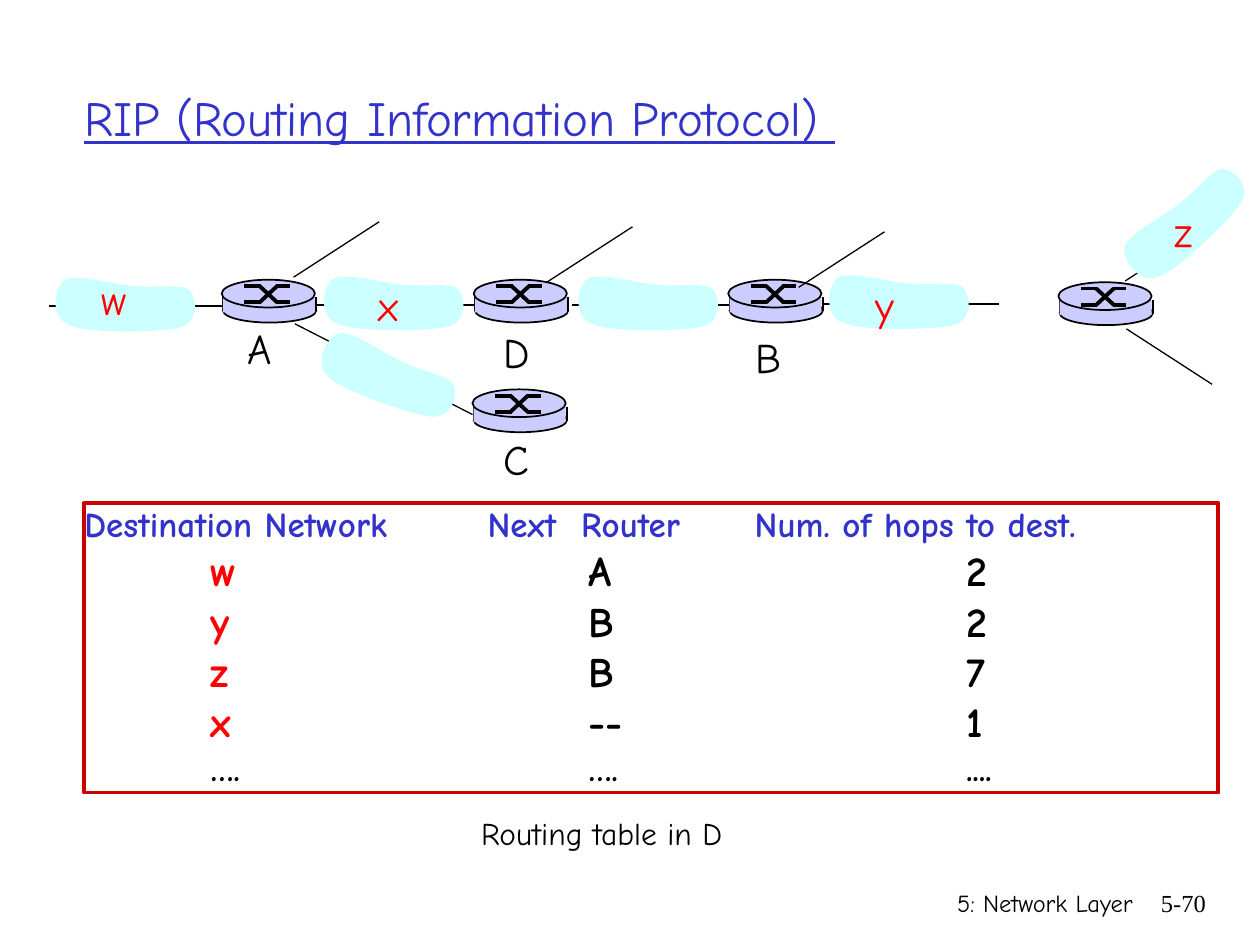
from lxml import etree
from pptx import Presentation
from pptx.dml.color import RGBColor
from pptx.enum.shapes import MSO_CONNECTOR, MSO_SHAPE
from pptx.enum.text import MSO_ANCHOR, PP_ALIGN
from pptx.oxml.ns import qn
from pptx.util import Inches, Pt

OVAL, RECT = MSO_SHAPE.OVAL, MSO_SHAPE.RECTANGLE
STRAIGHT = MSO_CONNECTOR.STRAIGHT
TOP, MIDDLE = MSO_ANCHOR.TOP, MSO_ANCHOR.MIDDLE
LEFT, RIGHT = PP_ALIGN.LEFT, PP_ALIGN.RIGHT

BLUE = RGBColor(0x33, 0x33, 0xCC)
RED = RGBColor(0xFF, 0x00, 0x00)
FRAME = RGBColor(0xCC, 0x00, 0x00)
CYAN = RGBColor(0xCC, 0xFF, 0xFF)
LILAC = RGBColor(0xCC, 0xCC, 0xFF)
BLACK = RGBColor(0x00, 0x00, 0x00)
COMIC, TIMES = "Comic Neue", "Times New Roman"

# Routing table: one row per destination, columns on tab stops
HEADINGS = ("Destination Network", "Next  Router", "Num. of hops to dest.")
HEADING_TABS = (3.2, 5.32)
ROUTES = [("w", "A", "2"), ("y", "B", "2"), ("z", "B", "7"), ("x", "--", "1")]
MORE = ("….", "….", "....")
ROUTE_TABS = (1, 4, 7)

# Network drawing
ROUTERS = [(1.76, 2.22), (3.76, 2.22), (3.75, 3.09), (5.78, 2.22), (8.4, 2.24)]
TRUNK_LENGTH = 1.4
TRUNKS = [(0.39, 2.43), (2.52, 2.42), (4.54, 2.42), (6.53, 2.41)]
SPUR_RUN, SPUR_RISE = 0.68, 0.44
SPURS = [(2.33, 2.2, -1), (4.34, 2.24, -1), (6.34, 2.28, -1),
         (8.93, 2.23, -1), (8.94, 2.61, 1)]  # start, direction up or down
LINK_A_C = (2.34, 2.57, 3.75, 3.29)
NETWORKS = [(2.48, 2.74, 19.7), (0.39, 2.17, 0), (2.52, 2.16, 0),
            (4.54, 2.16, 0), (6.53, 2.15, 0), (8.8, 1.53, 316.8)]

# Network outline: start point, then three Bezier points per curve
CLOUD = [(0.68, 0.1),
         (0.52, 0.09), (0.22, 0), (0.13, 0.05),
         (0.04, 0.1), (0, 0.35), (0.16, 0.41),
         (0.31, 0.48), (0.88, 0.47), (1.04, 0.43),
         (1.2, 0.38), (1.17, 0.18), (1.11, 0.13),
         (1.05, 0.08), (0.84, 0.12), (0.68, 0.1)]

# Router parts, relative to its top left corner
ROUTER_SIDES = [(0.01, 0.14, 0.01, 0.25), (0.75, 0.14, 0.75, 0.25)]
ROUTER_SYMBOL = [(0.18, 0.05, 0.31, 0.05), (0.43, 0.18, 0.54, 0.18),
                 (0.3, 0.05, 0.44, 0.18), (0.18, 0.18, 0.31, 0.18),
                 (0.43, 0.05, 0.54, 0.05), (0.3, 0.18, 0.44, 0.05)]

# Text, left, top, width, height, format
NET_NAME = dict(size=Pt(24), color=RED)
NODE_NAME = dict(size=Pt(24))
LABELS = [
    ("w", 0.71, 2.12, 0.43, 0.5, NET_NAME),
    ("x", 2.91, 2.17, 0.4, 0.5, NET_NAME),
    ("y", 6.85, 2.17, 0.38, 0.5, NET_NAME),
    ("z", 9.22, 1.58, 0.38, 0.5, NET_NAME),
    ("A", 1.87, 2.51, 0.44, 0.5, NODE_NAME),
    ("C", 3.9, 3.39, 0.4, 0.5, NODE_NAME),
    ("D", 3.9, 2.54, 0.44, 0.5, NODE_NAME),
    ("B", 5.9, 2.58, 0.41, 0.5, NODE_NAME),
    ("Routing table in D", 3.72, 6.41, 2.27, 0.4, dict(size=Pt(18))),
]
TITLE = ("RIP (Routing Information Protocol) ", 0.57, 0.3, 8.5, 1.25,
         dict(size=Pt(28), color=BLUE, underline=True))
FOOTERS = [
    ("5: Network Layer", 5.92, 7, 3.17, 0.5, dict(size=Pt(14))),
    ("5-70", 8.93, 7, 0.74, 0.5, dict(size=Pt(14), name=TIMES)),
]


def add_run(paragraph, text, color=BLACK, **formats):
    run = paragraph.add_run()
    run.text = text
    run.font.color.rgb = color
    for key, value in {"name": COMIC, **formats}.items():
        setattr(run.font, key, value)


def add_label(text, left, top, width, height, formats,
              wrap=False, anchor=TOP, align=LEFT):
    box = slide.shapes.add_textbox(*map(Inches, (left, top, width, height)))
    frame = box.text_frame
    frame.word_wrap, frame.vertical_anchor = wrap, anchor
    frame.paragraphs[0].alignment = align
    add_run(frame.paragraphs[0], text, **formats)


def add_line(shapes, x1, y1, x2, y2, points):
    line = shapes.add_connector(STRAIGHT, *map(Inches, (x1, y1, x2, y2)))
    line.line.color.rgb = BLACK
    line.line.width = Pt(points)
    etree.SubElement(line._element.spPr, qn("a:effectLst"))


def add_part(shapes, kind, left, top, width, height, fill=None, line=None, points=1):
    part = shapes.add_shape(kind, *map(Inches, (left, top, width, height)))
    part.shadow.inherit = False
    if fill is None:
        part.fill.background()
    else:
        part.fill.solid()
        part.fill.fore_color.rgb = fill
    if line is None:
        part.line.fill.background()
    else:
        part.line.color.rgb = line
        part.line.width = Pt(points)
    return part


def add_router(x, y):
    shapes = slide.shapes.add_group_shape().shapes

    def add_strokes(strokes, points):
        for x1, y1, x2, y2 in strokes:
            add_line(shapes, x + x1, y + y1, x + x2, y + y2, points)

    add_part(shapes, OVAL, x + 0.01, y + 0.15, 0.74, 0.19, LILAC, BLACK)
    add_strokes(ROUTER_SIDES, 1)
    add_part(shapes, RECT, x + 0.01, y + 0.14, 0.73, 0.12, LILAC)
    add_part(shapes, OVAL, x, y, 0.74, 0.22, LILAC, BLACK)
    add_strokes(ROUTER_SYMBOL, 2.25)


def add_network(left, top, rotation):
    points = [(Inches(left + x), Inches(top + y)) for x, y in CLOUD]
    builder = slide.shapes.build_freeform(*points[0])
    builder.add_line_segments(points[1:], close=True)
    cloud = builder.convert_to_shape()
    cloud.shadow.inherit = False
    cloud.fill.solid()
    cloud.fill.fore_color.rgb = CYAN
    cloud.line.fill.background()
    cloud.rotation = rotation
    # Join each three line segments into one Bezier curve
    segments = list(cloud._element.iter(qn("a:lnTo")))
    for first, second, third in zip(*[iter(segments)] * 3):
        first.tag = qn("a:cubicBezTo")
        for segment in (second, third):
            first.append(segment[0])
            segment.getparent().remove(segment)


def set_tabs(paragraph, stops):
    tabs = etree.SubElement(paragraph._p.get_or_add_pPr(), qn("a:tabLst"))
    for stop in stops:
        etree.SubElement(tabs, qn("a:tab"), pos=str(Inches(stop)), algn="l")


def add_routing_table():
    box = add_part(slide.shapes, RECT, 0.67, 3.99, 9, 2.3, line=FRAME, points=2.25)
    frame = box.text_frame
    frame.vertical_anchor = TOP
    for side in ("left", "top", "right", "bottom"):
        setattr(frame, f"margin_{side}", 0)
    rows = [HEADINGS, *ROUTES, MORE]
    for index, (destination, router, hops) in enumerate(rows):
        row = frame.add_paragraph() if index else frame.paragraphs[0]
        row.alignment = LEFT
        set_tabs(row, ROUTE_TABS if index else HEADING_TABS)
        is_route = 0 < index < len(rows) - 1
        formats = dict(size=Pt(24 if is_route else 20), bold=True)
        color = BLACK if index else BLUE
        if index:
            add_run(row, "\t", **formats)
        add_run(row, destination, RED if is_route else color, **formats)
        add_run(row, f"\t{router}\t{hops}", color, **formats)


prs = Presentation()
prs.slide_width, prs.slide_height = Inches(10), Inches(7.5)
slide = prs.slides.add_slide(prs.slide_layouts[6])

add_label(*TITLE, wrap=True, anchor=MIDDLE)
add_routing_table()

# Network: links and routers, then the networks over the links
for x, y in TRUNKS:
    add_line(slide.shapes, x, y, x + TRUNK_LENGTH, y, 1)
for x, y in ROUTERS:
    add_router(x, y)
for x, y, direction in SPURS:
    add_line(slide.shapes, x, y, x + SPUR_RUN, y + direction * SPUR_RISE, 0.75)
add_line(slide.shapes, *LINK_A_C, 0.75)
for network in NETWORKS:
    add_network(*network)

# Names, caption and footer
for label in LABELS:
    add_label(*label)
for footer in FOOTERS:
    add_label(*footer, wrap=True, align=RIGHT)

prs.save("out.pptx")
